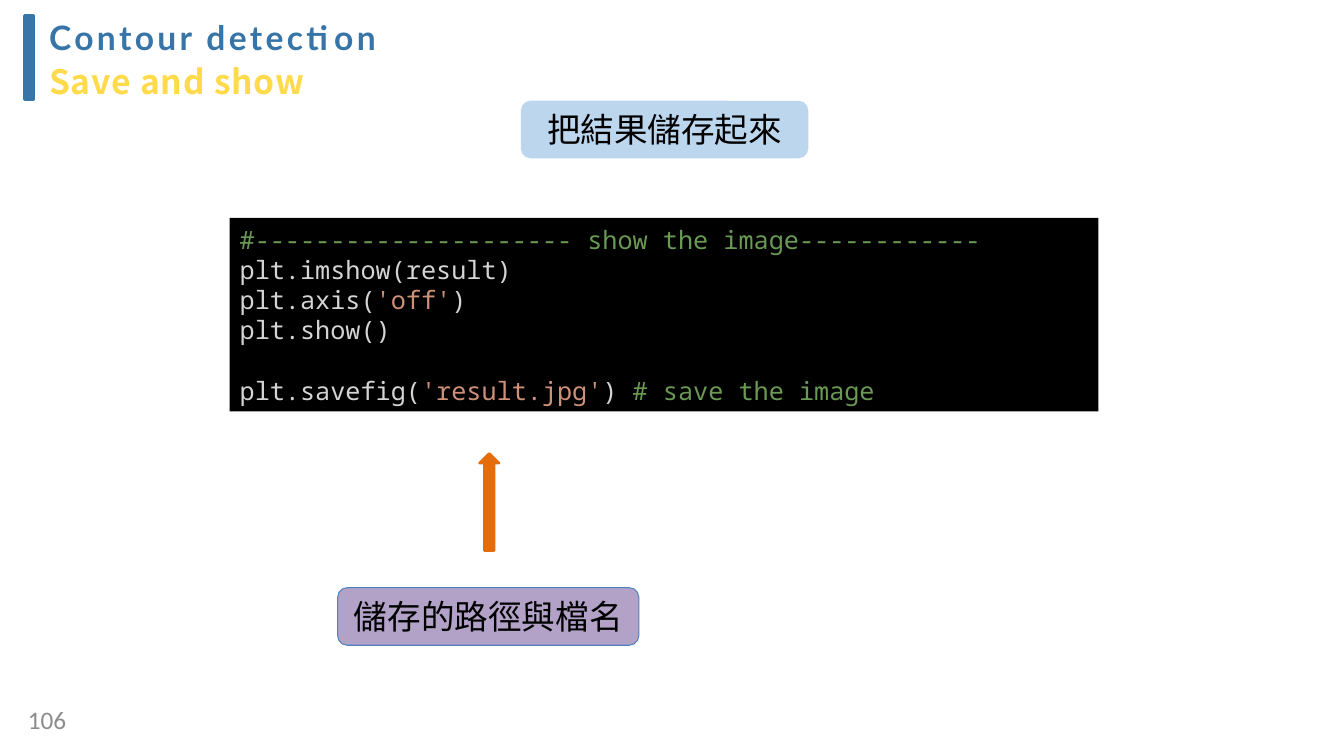
import pptx
import pptx.dml.color
import pptx.enum.shapes
import pptx.enum.text
import pptx.oxml
import pptx.oxml.ns
import pptx.util
from pptx.util import Cm

RGBColor = pptx.dml.color.RGBColor
SHAPE = pptx.enum.shapes.MSO_SHAPE
ALIGN = pptx.enum.text.PP_ALIGN
ANCHOR = pptx.enum.text.MSO_ANCHOR

BLUE = RGBColor(0x37, 0x74, 0xA7)
YELLOW = RGBColor(0xFF, 0xDA, 0x4A)
GRAY = RGBColor(0x8C, 0x8C, 0x8C)
BLACK = RGBColor(0x00, 0x00, 0x00)
PALE_BLUE = RGBColor(0xBC, 0xD6, 0xED)
PURPLE = RGBColor(0xB3, 0xA2, 0xC7)
EDGE_BLUE = RGBColor(0x4F, 0x81, 0xBD)
ORANGE = RGBColor(0xE4, 0x6C, 0x0A)
CODE_COMMENT = RGBColor(0x6A, 0x99, 0x55)
CODE_PLAIN = RGBColor(0xD4, 0xD4, 0xD4)
CODE_STRING = RGBColor(0xCE, 0x91, 0x78)

CJK_FONT = "Noto Sans CJK SC"
CODE_FONT = "Noto Sans Mono"

CODE_LINES = [
    [("#--------------------- show the image------------", CODE_COMMENT)],
    [("plt.imshow(result)", CODE_PLAIN)],
    [("plt.axis(", CODE_PLAIN), ("'off'", CODE_STRING), (")", CODE_PLAIN)],
    [("plt.show()", CODE_PLAIN)],
    [("\n", CODE_PLAIN), ("plt.savefig(", CODE_PLAIN), ("'result.jpg'", CODE_STRING),
     (") ", CODE_PLAIN), ("# save the image", CODE_COMMENT)],
]


def style_span(span, font, size, color, bold=False, spacing=0):
    span.font.size = pptx.util.Pt(size)
    span.font.bold = bold
    span.font.color.rgb = color
    span.font.name = font
    properties = span._r.get_or_add_rPr()
    if spacing:
        properties.set("spc", str(spacing))
    east_asian = pptx.oxml.parse_xml(
        f'<a:ea {pptx.oxml.ns.nsdecls("a")} typeface="{font}"/>')
    properties.append(east_asian)


def add_text_box(page, left, top, width, height, text):
    box = page.shapes.add_textbox(Cm(left), Cm(top), Cm(width), Cm(height))
    frame = box.text_frame
    frame.word_wrap = True
    frame.margin_left = frame.margin_right = 0
    frame.margin_top = frame.margin_bottom = 0
    frame.text = text
    return frame


def add_block(page, kind, left, top, width, height, fill, line=None, weight=0):
    block = page.shapes.add_shape(kind, Cm(left), Cm(top), Cm(width), Cm(height))
    block.shadow.inherit = False
    block.fill.solid()
    block.fill.fore_color.rgb = fill
    if line is None:
        block.line.fill.background()
    else:
        block.line.color.rgb = line
        block.line.width = pptx.util.Pt(weight)
    return block


def add_label(page, left, top, width, text, fill, line=None, weight=0):
    label = add_block(page, SHAPE.ROUNDED_RECTANGLE, left, top, width, 1.45,
                      fill, line, weight)
    frame = label.text_frame
    frame.vertical_anchor = ANCHOR.MIDDLE
    frame.text = text
    para = frame.paragraphs[0]
    para.alignment = ALIGN.CENTER
    style_span(para.runs[0], CJK_FONT, 24, BLACK)


def add_title(page, heading, subheading):
    add_block(page, SHAPE.RECTANGLE, 0.64, 0.41, 0.2, 2.08, BLUE, BLUE, 3)
    frame = add_text_box(page, 1.24, 0.43, 8.5, 2.08, f"{heading}\n{subheading}")
    first, second = frame.paragraphs
    second.line_spacing = pptx.util.Pt(31)
    style_span(first.runs[0], "Lato", 24, BLUE, True, 240)
    style_span(second.runs[0], CJK_FONT, 24, YELLOW, True, 60)


def add_code(page, left, top, width, height, lines):
    frame = add_block(page, SHAPE.RECTANGLE, left, top, width, height, BLACK).text_frame
    frame.word_wrap = True
    frame.vertical_anchor = ANCHOR.MIDDLE
    for index, line in enumerate(lines):
        para = frame.add_paragraph() if index else frame.paragraphs[0]
        para.alignment = ALIGN.LEFT
        para.line_spacing = pptx.util.Pt(21.6)
        para.font.size = pptx.util.Pt(18)
        for text, color in line:
            if text == "\n":
                para.add_line_break()
                continue
            span = para.add_run()
            span.text = text
            style_span(span, CODE_FONT, 18, color)


def add_page_number(page, number):
    para = add_text_box(page, 0.2, 17.75, 1.47, 0.76, number).paragraphs[0]
    para.alignment = ALIGN.RIGHT
    style_span(para.runs[0], "Calibri", 18, GRAY)


def main():
    deck = pptx.Presentation()
    deck.slide_width = Cm(33.87)
    deck.slide_height = Cm(19.05)
    page = deck.slides.add_slide(deck.slide_layouts[6])
    add_page_number(page, "106")
    add_title(page, "Contour detection", "Save and show")
    add_label(page, 13.13, 2.54, 7.24, "把結果儲存起來", PALE_BLUE)
    add_code(page, 5.79, 5.49, 21.89, 4.88, CODE_LINES)
    add_block(page, SHAPE.UP_ARROW, 12.09, 11.43, 0.48, 2.44, ORANGE, ORANGE, 2)
    add_label(page, 8.51, 14.81, 7.59, "儲存的路徑與檔名", PURPLE, EDGE_BLUE, 0.75)
    deck.save("out.pptx")


if __name__ == "__main__":
    main()
